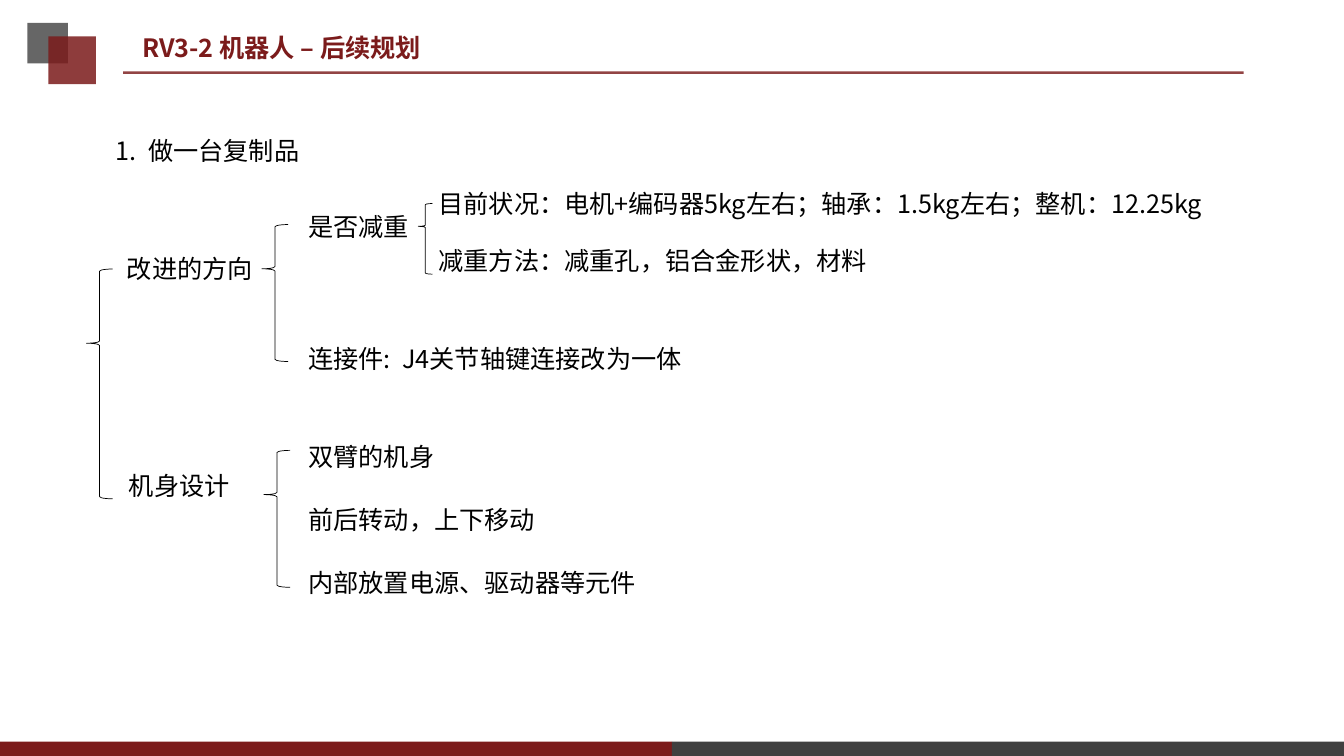
from lxml.etree import SubElement
from pptx import Presentation
from pptx.dml.color import RGBColor
from pptx.enum.shapes import MSO_CONNECTOR as Connector, MSO_SHAPE as Shape
from pptx.enum.text import MSO_ANCHOR as Anchor, MSO_AUTO_SIZE as AutoSize, PP_ALIGN as Align
from pptx.oxml.ns import qn
from pptx.util import Cm, Pt

RED, GREY, BLACK = "7B1B1B", "404040", "000000"


def colour(value):
    return RGBColor.from_string(value)


class PlanSlide:
    font_name = "Noto Sans CJK SC"
    font_size = Pt(18)
    line_height = 1.02

    def __init__(self, deck):
        self.page = deck.slides.add_slide(deck.slide_layouts[5])
        self.shapes = self.page.shapes

    def set_alpha(self, item, percent):
        solid = item._element.spPr.find(".//" + qn("a:srgbClr"))
        SubElement(solid, qn("a:alpha")).set("val", str(percent * 1000))

    def fill_text(self, box, words, ink, bold=False):
        frame = box.text_frame
        frame.text = words
        frame.word_wrap = True
        frame.auto_size = AutoSize.NONE
        frame.vertical_anchor = Anchor.TOP
        para = frame.paragraphs[0]
        para.alignment = Align.LEFT
        para.line_spacing = 1.0
        para.font.name = self.font_name
        para.font.size = self.font_size
        para.font.bold = bold
        para.font.color.rgb = colour(ink)
        # East Asian characters need their own typeface entry
        defaults = para._p.find(".//" + qn("a:defRPr"))
        SubElement(defaults, qn("a:ea")).set("typeface", self.font_name)

    def title(self, words, left, top, width):
        box = self.shapes.title
        box.left, box.top = Cm(left), Cm(top)
        box.width, box.height = Cm(width), Cm(self.line_height)
        self.fill_text(box, words, RED, bold=True)

    def text(self, words, left, top, width):
        box = self.shapes.add_textbox(Cm(left), Cm(top), Cm(width), Cm(self.line_height))
        self.fill_text(box, words, BLACK)

    def block(self, left, top, width, height, fill, alpha=100):
        block = self.shapes.add_shape(Shape.RECTANGLE, Cm(left), Cm(top), Cm(width), Cm(height))
        block.shadow.inherit = False
        block.fill.solid()
        block.fill.fore_color.rgb = colour(fill)
        block.line.fill.background()
        if alpha < 100:
            self.set_alpha(block, alpha)

    def rule(self, left, right, top):
        rule = self.shapes.add_connector(Connector.STRAIGHT, Cm(left), Cm(top), Cm(right), Cm(top))
        rule.line.color.rgb = colour(RED)
        rule.line.width = Pt(1.75)
        self.set_alpha(rule, 81)
        SubElement(rule._element.spPr, qn("a:effectLst"))

    def brace(self, left, top, width, height):
        brace = self.shapes.add_shape(Shape.LEFT_BRACE, Cm(left), Cm(top), Cm(width), Cm(height))
        brace.shadow.inherit = False
        brace.fill.background()
        brace.line.color.rgb = colour(BLACK)
        brace.line.width = Pt(0.5)
        brace.adjustments[0], brace.adjustments[1] = 0.083, 0.323


def main():
    deck = Presentation()
    deck.slide_width, deck.slide_height = Cm(33.87), Cm(19.05)
    plan = PlanSlide(deck)

    # Header and footer decoration
    plan.block(0, 18.69, 16.94, 0.36, RED)
    plan.block(16.93, 18.69, 16.94, 0.36, GREY)
    plan.block(0.69, 0.58, 1.02, 1.02, GREY, alpha=80)
    plan.block(1.22, 0.92, 1.2, 1.2, RED, alpha=85)
    plan.rule(3.1, 31.34, 1.83)
    plan.title("RV3-2 机器人 – 后续规划", 3.33, 0.69, 11.53)

    # Main branches
    plan.text("1.  做一台复制品", 2.67, 3.28, 5.41)
    plan.text("改进的方向", 2.95, 6.27, 5.41)
    plan.text("机身设计", 3, 11.73, 3.4)

    # Improvement directions
    topic_left, detail_left = 7.52, 10.8
    plan.text("是否减重", topic_left, 5.21, 3.28)
    plan.text("目前状况：电机+编码器5kg左右；轴承：1.5kg左右；整机：12.25kg", detail_left, 4.62, 20.93)
    plan.text("减重方法：减重孔，铝合金形状，材料", detail_left, 6.05, 19.08)
    plan.text("连接件:  J4关节轴键连接改为一体", topic_left, 8.53, 9.91)

    # Body design
    for row, words in enumerate(["双臂的机身", "前后转动，上下移动", "内部放置电源、驱动器等元件"]):
        plan.text(words, topic_left, 11 + 1.58 * row, 14.33)

    # Braces
    plan.brace(2.18, 6.78, 0.66, 5.79)
    plan.brace(6.6, 5.66, 0.66, 3.45)
    plan.brace(6.65, 11.35, 0.66, 3.45)
    plan.brace(10.54, 5.13, 0.36, 1.78)

    deck.save("out.pptx")


if __name__ == "__main__":
    main()
